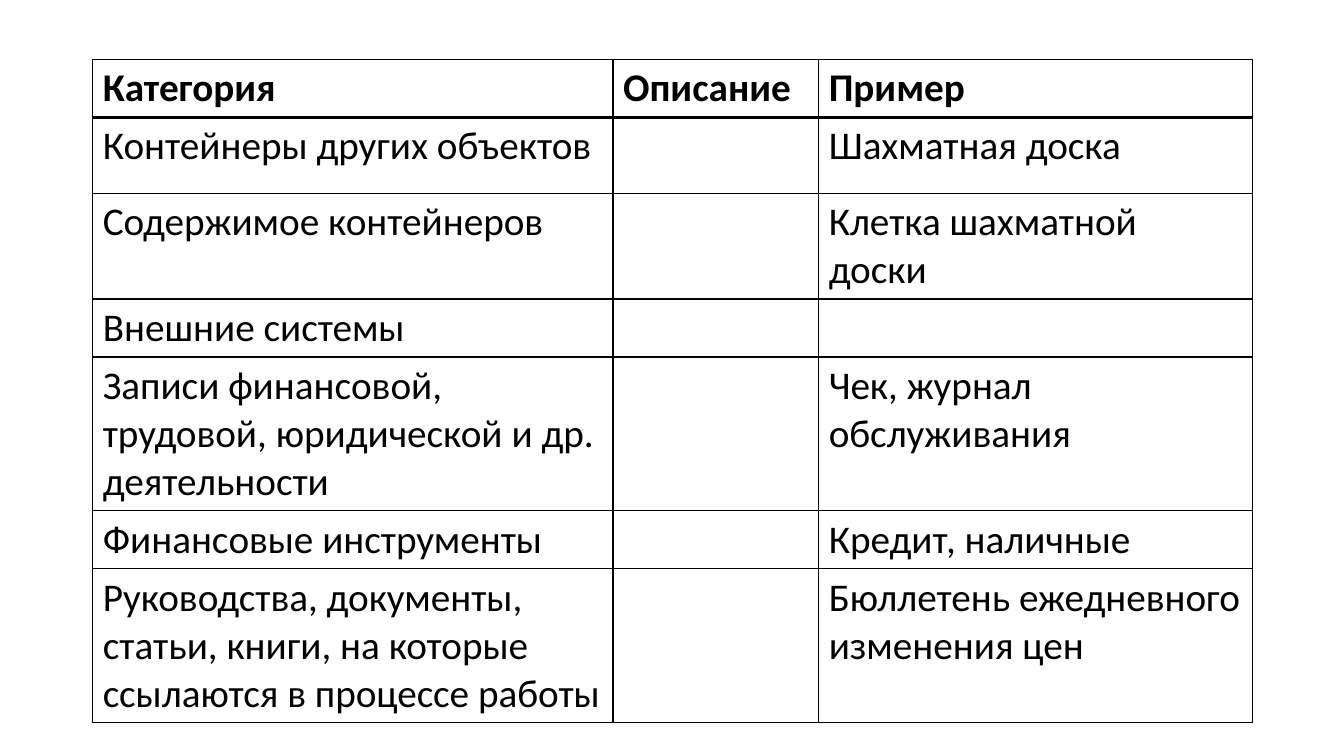
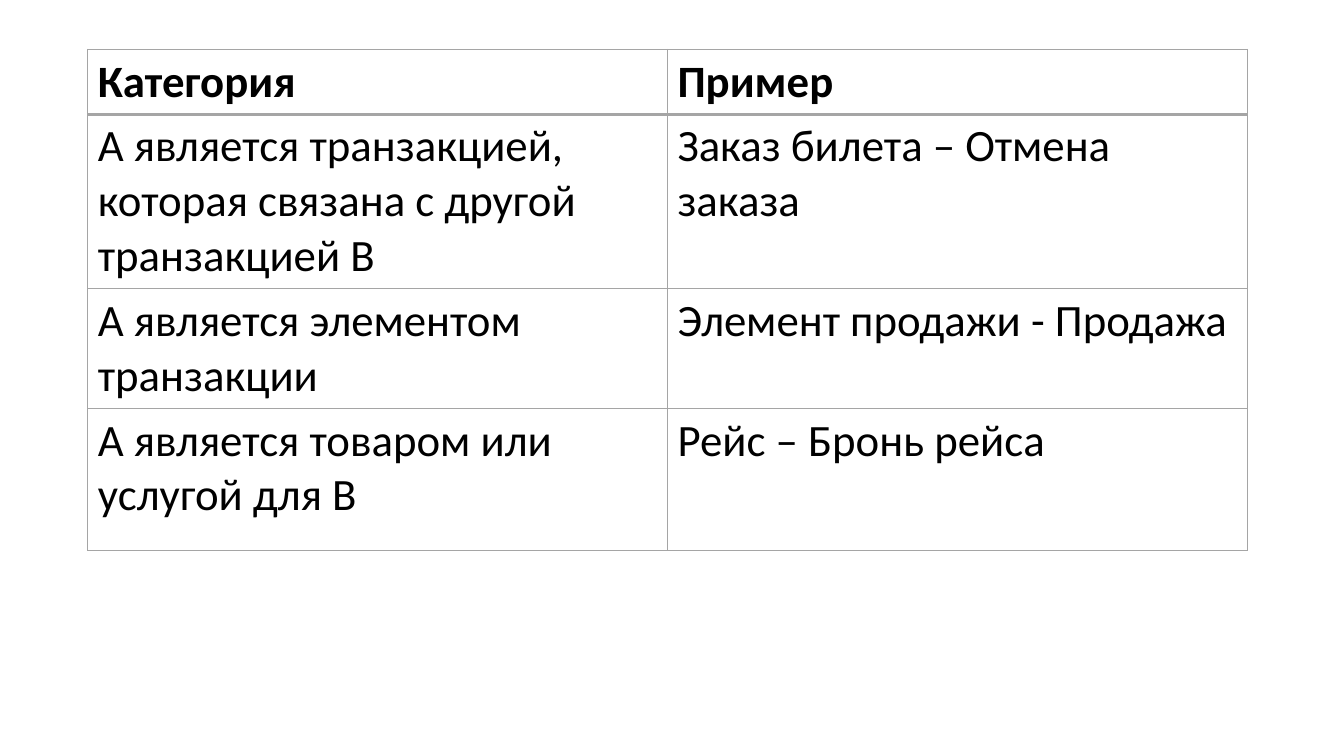
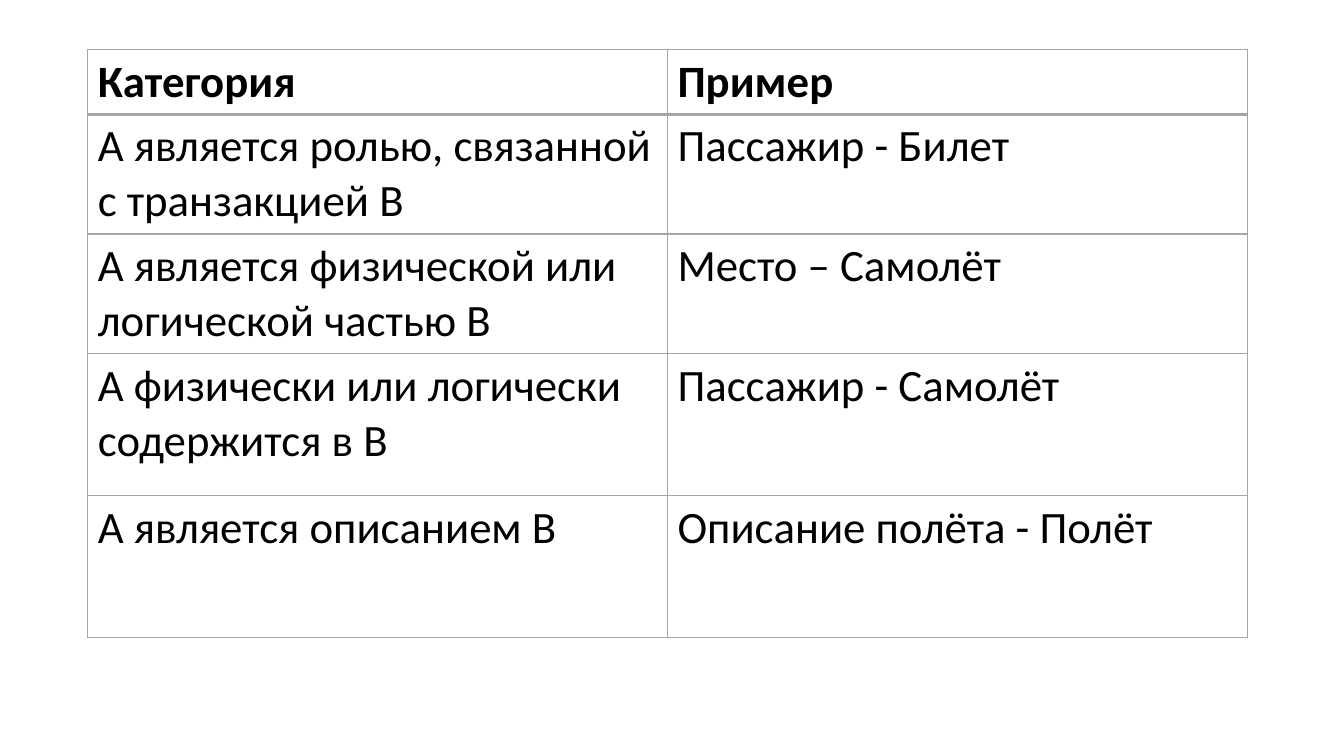
from dataclasses import dataclass

from lxml import etree
from pptx import Presentation
from pptx.dml.color import RGBColor
from pptx.oxml.ns import qn
from pptx.util import Inches, Pt

BLANK_LAYOUT = 6
CELL_SIDES = ("a:lnL", "a:lnR", "a:lnT", "a:lnB")


@dataclass(frozen=True)
class Theme:
    font: str = "Calibri"
    text: str = "000000"
    dark_rule: str = "000000"
    grey_rule: str = "A5A5A5"
    dense_size: int = 28
    roomy_size: int = 32
    rule_width: int = 1
    header_rule_width: int = 2


THEME = Theme()


def set_borders(cell, color, bottom_width):
    properties = cell._tc.get_or_add_tcPr()
    for side in CELL_SIDES:
        width = bottom_width if side == "a:lnB" else THEME.rule_width
        line = etree.SubElement(properties, qn(side), w=str(Pt(width)))
        fill = etree.SubElement(line, qn("a:solidFill"))
        etree.SubElement(fill, qn("a:srgbClr"), val=color)


def write_cell(cell, text, size, bold):
    if not text:
        return
    span = cell.text_frame.paragraphs[0].add_run()
    span.text = text
    span.font.name = THEME.font
    span.font.size = Pt(size)
    span.font.bold = bold
    span.font.color.rgb = RGBColor.from_string(THEME.text)


def add_grid(page, left, top, widths, heights, rows, size, rule_color):
    """Draw a ruled table whose first row is the bold header."""
    frame = page.shapes.add_table(
        len(rows), len(widths), Inches(left), Inches(top),
        Inches(sum(widths)), Inches(sum(heights)))
    table = frame.table
    table.horz_banding = False
    for column, width in zip(table.columns, widths):
        column.width = Inches(width)
    for index, (height, texts) in enumerate(zip(heights, rows)):
        table.rows[index].height = Inches(height)
        header = index == 0
        bottom_width = THEME.header_rule_width if header else THEME.rule_width
        for cell, text in zip(table.rows[index].cells, texts):
            set_borders(cell, rule_color, bottom_width)
            cell.fill.background()
            write_cell(cell, text, size, header)


def add_page(deck):
    return deck.slides.add_slide(deck.slide_layouts[BLANK_LAYOUT])


def add_category_page(deck, heights, rows):
    header = ("Категория", "Описание", "Пример")
    described = [(category, "", example) for category, example in rows]
    add_grid(add_page(deck), 0.92, 0.59, (5.16, 2.04, 4.3), heights,
             [header, *described], THEME.dense_size, THEME.dark_rule)


def add_association_page(deck, heights, rows):
    header = ("Категория", "Пример")
    add_grid(add_page(deck), 0.87, 0.49, (5.75, 5.75), heights,
             [header, *rows], THEME.roomy_size, THEME.grey_rule)


def main():
    deck = Presentation()
    deck.slide_width = Inches(13.33)
    deck.slide_height = Inches(7.5)

    add_category_page(deck, (0.57, 0.75, 1.04, 0.57, 1.52, 0.57, 1.52), [
        ("Контейнеры других объектов", "Шахматная доска"),
        ("Содержимое контейнеров", "Клетка шахматной доски"),
        ("Внешние системы", ""),
        ("Записи финансовой, трудовой, юридической и др. деятельности",
         "Чек, журнал обслуживания"),
        ("Финансовые инструменты", "Кредит, наличные"),
        ("Руководства, документы, статьи, книги, на которые ссылаются "
         "в процессе работы", "Бюллетень ежедневного изменения цен"),
    ])
    add_association_page(deck, (0.64, 1.73, 1.18, 1.41), [
        ("А является транзакцией, которая связана с другой транзакцией В",
         "Заказ билета – Отмена заказа"),
        ("А является элементом транзакции", "Элемент продажи - Продажа"),
        ("А является товаром или услугой для В", "Рейс – Бронь рейса"),
    ])
    add_association_page(deck, (0.64, 1.18, 1.18, 1.41, 1.41), [
        ("А является ролью, связанной с транзакцией В", "Пассажир - Билет"),
        ("А является физической или логической частью В",
         "Место – Самолёт"),
        ("А физически или логически содержится в В", "Пассажир - Самолёт"),
        ("А является описанием В", "Описание полёта - Полёт"),
    ])
    deck.save("out.pptx")


if __name__ == "__main__":
    main()
